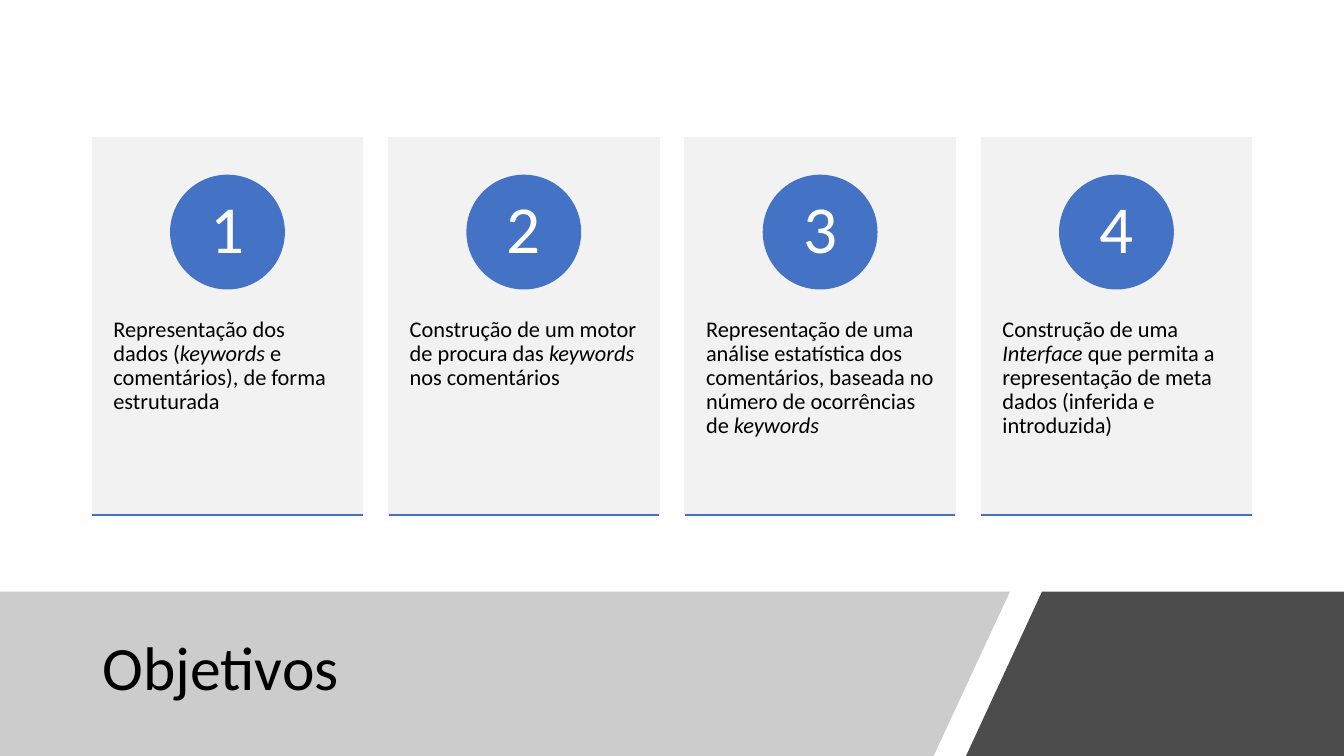
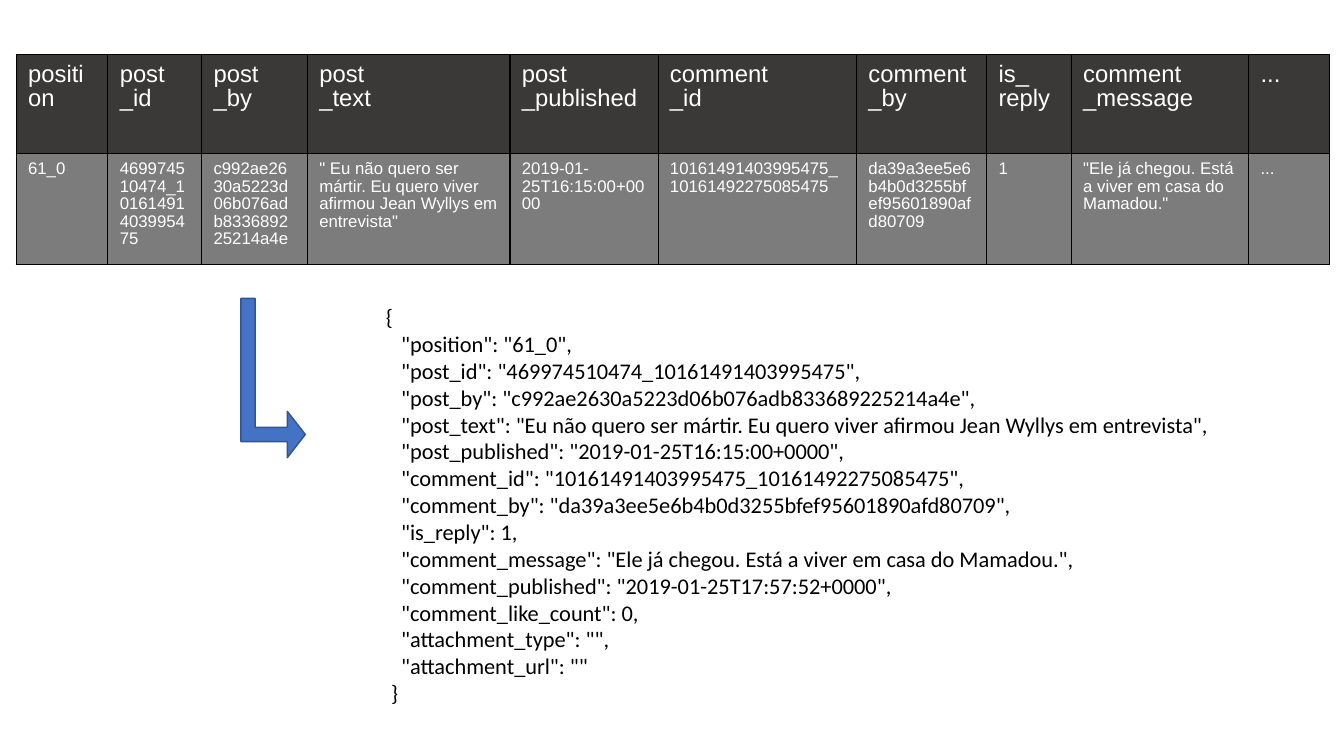
from dataclasses import dataclass

from lxml import etree
from pptx import Presentation
from pptx.dml.color import RGBColor
from pptx.enum.shapes import MSO_CONNECTOR, MSO_SHAPE
from pptx.enum.text import MSO_ANCHOR, MSO_AUTO_SIZE, PP_ALIGN
from pptx.oxml.ns import qn
from pptx.slide import Slide
from pptx.util import Pt

RECTANGLE = MSO_SHAPE.RECTANGLE
OVAL = MSO_SHAPE.OVAL
BENT_ARROW = MSO_SHAPE.BENT_UP_ARROW
STRAIGHT = MSO_CONNECTOR.STRAIGHT
MIDDLE = MSO_ANCHOR.MIDDLE
TOP = MSO_ANCHOR.TOP
LEFT = PP_ALIGN.LEFT
CENTER = PP_ALIGN.CENTER
NO_AUTOFIT = MSO_AUTO_SIZE.NONE
GROW = MSO_AUTO_SIZE.SHAPE_TO_FIT_TEXT


@dataclass(frozen=True)
class Theme:
    text_font: str = "Calibri"
    table_font: str = "Arial"
    black: str = "000000"
    white: str = "FFFFFF"
    grey: str = "808080"
    card: str = "F2F2F2"
    accent: str = "4472C4"
    accent_edge: str = "325491"
    header_row: str = "3B3838"
    value_row: str = "7C7C7C"
    title_size: float = 44
    number_size: float = 48
    body_size: float = 16
    header_size: float = 17
    value_size: float = 12


@dataclass(frozen=True)
class Band:
    points: tuple[tuple[float, float], ...]
    color: str
    opacity: int


@dataclass(frozen=True)
class Column:
    header: str
    width: float
    value: str


THEME = Theme()
SLIDE_WIDTH, SLIDE_HEIGHT = 960, 540
BAND_TOP = 422.6
BANDS = (
    Band(((0, BAND_TOP), (721.4, BAND_TOP), (666.9, SLIDE_HEIGHT), (0, SLIDE_HEIGHT)),
         THEME.grey, 40),
    Band(((744.3, BAND_TOP), (SLIDE_WIDTH, BAND_TOP), (SLIDE_WIDTH, SLIDE_HEIGHT),
          (690, SLIDE_HEIGHT)), THEME.black, 70),
)

GRID_LEFT, GRID_WIDTH = 66, 828
CARD_TOP, CARD_WIDTH, CARD_HEIGHT = 98.4, 193, 269.6
GOAL_TOP, GOAL_HEIGHT = 201, 162
BADGE_TOP, BADGE_SIZE = 125.3, 81
GOALS = (
    "Representação dos dados (*keywords* e comentários), de forma estruturada",
    "Construção de um motor de procura das *keywords* nos comentários",
    "Representação de uma análise estatística dos comentários, baseada no número de "
    "ocorrências de *keywords*",
    "Construção de uma *Interface* que permita a representação de meta dados "
    "(inferida e introduzida)",
)

TABLE_LEFT, TABLE_TOP = 11.6, 38.9
ROW_HEIGHTS = (70.5, 79.5)
COLUMNS = (
    Column("position", 65.5, "61_0"),
    Column("post\n_id", 67, "469974510474_10161491403995475"),
    Column("post\n_by", 75.6, "c992ae2630a5223d06b076adb833689225214a4e"),
    Column("post\n_text", 144.7,
           '" Eu não quero ser mártir. Eu quero viver afirmou Jean Wyllys em entrevista"'),
    Column("post\n_published", 105.8, "2019-01-25T16:15:00+0000"),
    Column("comment\n_id", 141.8, "10161491403995475_10161492275085475"),
    Column("comment_by", 92.9, "da39a3ee5e6b4b0d3255bfef95601890afd80709"),
    Column("is_\nreply", 60.5, "1"),
    Column("comment\n_message", 126.7, '"Ele já chegou. Está a viver em casa do Mamadou."'),
    Column("...", 57.6, "..."),
)
NUMERIC_KEYS = ("is_reply",)
EXTRA_ENTRIES = (
    '"comment_published": "2019-01-25T17:57:52+0000"',
    '"comment_like_count": 0',
    '"attachment_type": ""',
    '"attachment_url": ""',
)
ENTRY_INDENT, CLOSING_INDENT = 10.85, 3.6


def rgb(color: str) -> RGBColor:
    return RGBColor.from_string(color)


def paint(shape, fill: str, edge: str) -> None:
    shape.shadow.inherit = False
    shape.fill.solid()
    shape.fill.fore_color.rgb = rgb(fill)
    shape.line.color.rgb = rgb(edge)
    shape.line.width = Pt(1)


def set_margins(target, left: float, top: float, right: float, bottom: float) -> None:
    target.margin_left, target.margin_top = Pt(left), Pt(top)
    target.margin_right, target.margin_bottom = Pt(right), Pt(bottom)


def format_text(frame, size: float, color: str, font: str = THEME.text_font,
                align: PP_ALIGN = LEFT, spacing: float = 0.9) -> None:
    for paragraph in frame.paragraphs:
        paragraph.alignment = align
        paragraph.line_spacing = spacing
        for run in paragraph.runs:
            run.font.name = font
            run.font.size = Pt(size)
            run.font.color.rgb = rgb(color)
            run.font.bold = False


def draw_title(slide: Slide, text: str) -> None:
    title = slide.shapes.title
    title.left, title.top, title.width, title.height = Pt(66), Pt(435.6), Pt(608), Pt(86.4)
    frame = title.text_frame
    frame.text = text
    frame.word_wrap = True
    frame.auto_size = NO_AUTOFIT
    frame.vertical_anchor = MIDDLE
    format_text(frame, THEME.title_size, THEME.black)


def draw_band(slide: Slide, band: Band) -> None:
    (start_x, start_y), *others = band.points
    builder = slide.shapes.build_freeform(Pt(start_x), Pt(start_y))
    builder.add_line_segments([(Pt(x), Pt(y)) for x, y in others], close=True)
    shape = builder.convert_to_shape()
    paint(shape, band.color, band.color)
    shape.line.fill.background()
    color = shape.element.spPr.find(qn("a:solidFill"))[0]
    etree.SubElement(color, qn("a:alpha")).set("val", str(band.opacity * 1000))
    slide.shapes.title.element.addprevious(shape.element)


def draw_goal(slide: Slide, number: int, left: float, goal: str) -> None:
    shapes = slide.shapes
    card = shapes.add_shape(RECTANGLE, Pt(left), Pt(CARD_TOP), Pt(CARD_WIDTH), Pt(CARD_HEIGHT))
    paint(card, THEME.card, THEME.card)

    description = shapes.add_textbox(Pt(left), Pt(GOAL_TOP), Pt(CARD_WIDTH), Pt(GOAL_HEIGHT))
    frame = description.text_frame
    frame.word_wrap = True
    set_margins(frame, 15, 26, 15, 26)
    for index, part in enumerate(goal.split("*")):
        if part:
            run = frame.paragraphs[0].add_run()
            run.text = part
            run.font.italic = index % 2 == 1
    format_text(frame, THEME.body_size, THEME.black)

    badge_left = left + (CARD_WIDTH - BADGE_SIZE) / 2
    badge = shapes.add_shape(OVAL, Pt(badge_left), Pt(BADGE_TOP), Pt(BADGE_SIZE), Pt(BADGE_SIZE))
    paint(badge, THEME.accent, THEME.accent)
    frame = badge.text_frame
    frame.text = str(number)
    frame.vertical_anchor = MIDDLE
    set_margins(frame, 6, 1, 6, 1)
    format_text(frame, THEME.number_size, THEME.white, align=CENTER)

    base = CARD_TOP + CARD_HEIGHT
    underline = shapes.add_connector(STRAIGHT, Pt(left), Pt(base), Pt(left + CARD_WIDTH), Pt(base))
    underline.line.color.rgb = rgb(THEME.accent)
    underline.line.width = Pt(1)
    etree.SubElement(underline.element.spPr, qn("a:effectLst"))


def build_goals_slide(slide: Slide) -> None:
    for band in BANDS:
        draw_band(slide, band)
    draw_title(slide, "Objetivos")
    pitch = (GRID_WIDTH - CARD_WIDTH) / (len(GOALS) - 1)
    for index, goal in enumerate(GOALS):
        draw_goal(slide, index + 1, GRID_LEFT + index * pitch, goal)


def add_borders(cell) -> None:
    properties = cell._tc.get_or_add_tcPr()
    for side in ("a:lnL", "a:lnR", "a:lnT", "a:lnB"):
        border = etree.SubElement(properties, qn(side), w=str(Pt(1)))
        fill = etree.SubElement(border, qn("a:solidFill"))
        etree.SubElement(fill, qn("a:srgbClr"), val=THEME.black)


def fill_cell(cell, text: str, size: float, color: str) -> None:
    add_borders(cell)
    cell.fill.solid()
    cell.fill.fore_color.rgb = rgb(color)
    cell.vertical_anchor = TOP
    set_margins(cell, 8.5, 5.5, 8.5, 4.3)
    cell.text_frame.text = text
    format_text(cell.text_frame, size, THEME.white, THEME.table_font, spacing=0.93)


def draw_record_table(slide: Slide) -> None:
    total_width = sum(column.width for column in COLUMNS)
    table = slide.shapes.add_table(len(ROW_HEIGHTS), len(COLUMNS), Pt(TABLE_LEFT), Pt(TABLE_TOP),
                                   Pt(total_width), Pt(sum(ROW_HEIGHTS))).table
    table.horz_banding = False
    for row, height in zip(table.rows, ROW_HEIGHTS):
        row.height = Pt(height)
    for index, column in enumerate(COLUMNS):
        table.columns[index].width = Pt(column.width)
        fill_cell(table.cell(0, index), column.header, THEME.header_size, THEME.header_row)
        fill_cell(table.cell(1, index), column.value, THEME.value_size, THEME.value_row)


def json_entry(column: Column) -> str:
    key = column.header.replace("\n", "")
    value = column.value.strip('" ')
    return f'"{key}": {value}' if key in NUMERIC_KEYS else f'"{key}": "{value}"'


def draw_json(slide: Slide) -> None:
    entries = [json_entry(column) for column in COLUMNS[:-1]] + list(EXTRA_ENTRIES)
    listing = slide.shapes.add_textbox(Pt(268.6), Pt(213), Pt(618.5), Pt(298))
    frame = listing.text_frame
    frame.word_wrap = True
    frame.auto_size = GROW
    frame.text = "\n".join(["{", ",\n".join(entries), "}"])
    format_text(frame, THEME.body_size, THEME.black, spacing=1.0)
    indents = [0] + [ENTRY_INDENT] * len(entries) + [CLOSING_INDENT]
    for paragraph, indent in zip(frame.paragraphs, indents):
        paragraph._p.get_or_add_pPr().set("marL", str(Pt(indent)))


def build_record_slide(slide: Slide) -> None:
    draw_record_table(slide)
    draw_json(slide)
    arrow = slide.shapes.add_shape(BENT_ARROW, Pt(138.2), Pt(247), Pt(113.8), Pt(46))
    arrow.rotation = 90
    for index, ratio in enumerate((0.22, 0.36, 0.28)):
        arrow.adjustments[index] = ratio
    paint(arrow, THEME.accent, THEME.accent_edge)


def main() -> None:
    presentation = Presentation()
    presentation.slide_width, presentation.slide_height = Pt(SLIDE_WIDTH), Pt(SLIDE_HEIGHT)
    title_only, blank = presentation.slide_layouts[5], presentation.slide_layouts[6]
    build_goals_slide(presentation.slides.add_slide(title_only))
    build_record_slide(presentation.slides.add_slide(blank))
    presentation.save("out.pptx")


if __name__ == "__main__":
    main()
